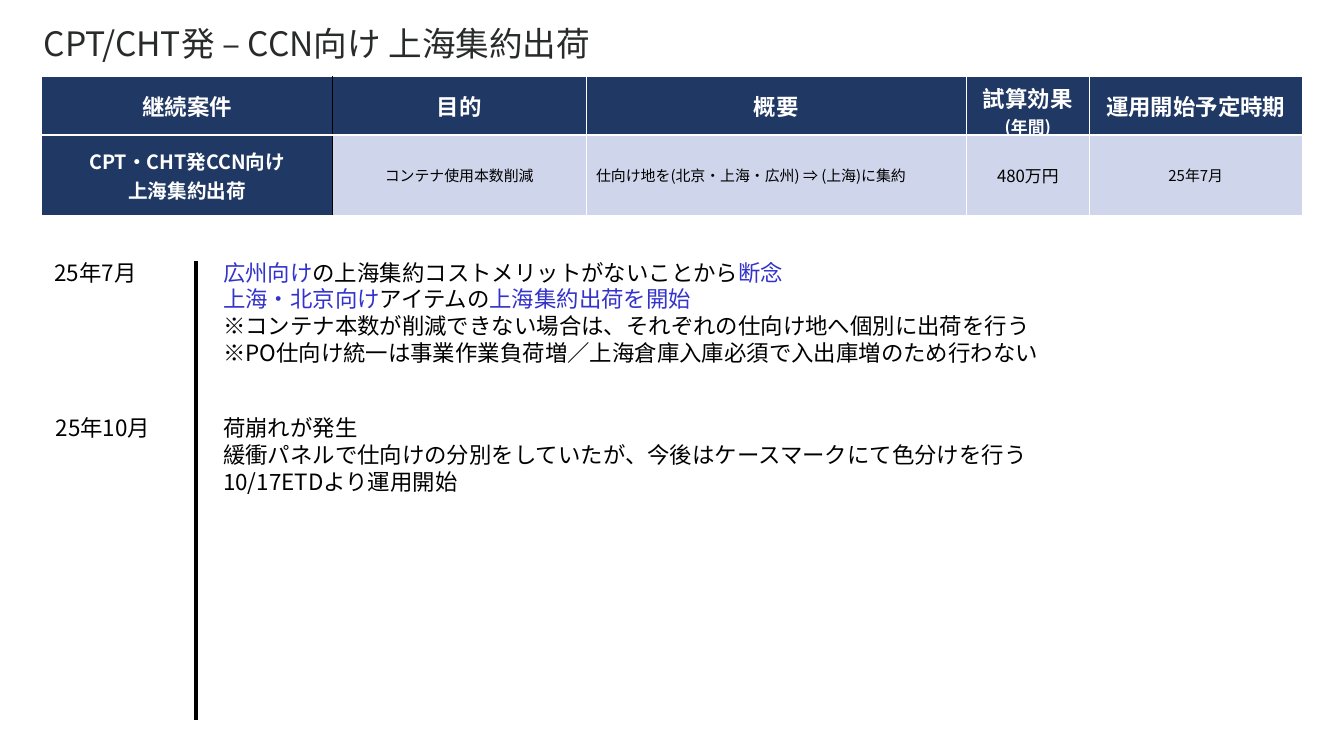
from dataclasses import dataclass

from lxml.etree import SubElement
from pptx import Presentation
from pptx.dml.color import RGBColor
from pptx.enum.shapes import MSO_CONNECTOR as Connector
from pptx.enum.text import MSO_ANCHOR as Anchor
from pptx.enum.text import MSO_AUTO_SIZE as AutoSize
from pptx.enum.text import PP_ALIGN as Align
from pptx.oxml import parse_xml
from pptx.oxml.ns import nsdecls, qn
from pptx.util import Inches, Pt


@dataclass(frozen=True)
class Theme:
    font: str = "Noto Sans CJK JP"
    title_color: str = "292B2B"
    text: str = "000000"
    accent: str = "3333CC"
    white: str = "FFFFFF"
    navy: str = "203864"
    pale: str = "CFD5EA"
    title: int = 36
    title_line: int = 54
    body: int = 24
    case: int = 21
    medium: int = 18
    small: int = 16


THEME = Theme()


@dataclass(frozen=True)
class Span:
    text: str
    color: str = THEME.text
    size: int = THEME.body
    bold: bool = False


@dataclass(frozen=True)
class TextBox:
    left: float
    top: float
    width: float
    height: float
    lines: list[list[Span]]


@dataclass(frozen=True)
class CellText:
    lines: list[Span]
    align: Align = Align.CENTER


def accent(text: str) -> Span:
    return Span(text, THEME.accent)


def heading(text: str, size: int = THEME.body) -> Span:
    return Span(text, THEME.white, size, True)


TITLE = TextBox(0.65, 0.19, 18.23, 0.7, [
    [Span("CPT/CHT発 – CCN向け 上海集約出荷", THEME.title_color, THEME.title)],
])

TIMELINE = [
    TextBox(0.73, 6.12, 1.77, 0.5, [[Span("25年10月")]]),
    TextBox(0.71, 3.81, 2.25, 0.5, [[Span("25年7月")]]),
    TextBox(3.22, 3.8, 14.11, 1.72, [
        [accent("広州向け"), Span("の上海集約コストメリットがないことから"), accent("断念")],
        [accent("上海・北京向け"), Span("アイテムの"), accent("上海集約出荷を開始")],
        [Span("※コンテナ本数が削減できない場合は、それぞれの仕向け地へ個別に出荷を行う")],
        [Span("※PO仕向け統一は事業作業負荷増／上海倉庫入庫必須で入出庫増のため行わない")],
    ]),
    TextBox(3.22, 6.12, 14.11, 1.31, [
        [Span("荷崩れが発生")],
        [Span("緩衝パネルで仕向けの分別をしていたが、今後はケースマークにて色分けを行う")],
        [Span("10/17ETDより運用開始")],
    ]),
]

COLUMN_WIDTHS = [4.33, 3.77, 5.66, 1.83, 3.17]
ROW_HEIGHTS = [0.87, 1.2]
ROWS = [
    [
        CellText([heading("継続案件")]),
        CellText([heading("目的")]),
        CellText([heading("概要")]),
        CellText([heading("試算効果"), heading("(年間)", THEME.medium)]),
        CellText([heading("運用開始予定時期")]),
    ],
    [
        CellText([heading("CPT・CHT発CCN向け", THEME.case),
                  heading("上海集約出荷", THEME.case)]),
        CellText([Span("コンテナ使用本数削減", size=THEME.small)]),
        CellText([Span("仕向け地を(北京・上海・広州) ⇒ (上海)に集約", size=THEME.small)],
                 Align.LEFT),
        CellText([Span("480万円", size=THEME.medium)]),
        CellText([Span("25年7月", size=THEME.small)]),
    ],
]


def fill_paragraph(para, spans: list[Span]) -> None:
    for span in spans:
        run = para.add_run()
        run.text = span.text
        run.font.size = Pt(span.size)
        run.font.bold = span.bold
        run.font.color.rgb = RGBColor.from_string(span.color)
        run.font.name = THEME.font
        SubElement(run.font._element, qn("a:ea"), typeface=THEME.font)


def fill_frame(frame, lines: list[list[Span]]) -> None:
    for index, spans in enumerate(lines):
        para = frame.add_paragraph() if index else frame.paragraphs[0]
        fill_paragraph(para, spans)


def draw_text(page, item: TextBox):
    box = page.shapes.add_textbox(Inches(item.left), Inches(item.top),
                                  Inches(item.width), Inches(item.height))
    frame = box.text_frame
    frame.word_wrap = True
    frame.auto_size = AutoSize.SHAPE_TO_FIT_TEXT
    fill_frame(frame, item.lines)
    return frame


def draw_title(page) -> None:
    frame = draw_text(page, TITLE)
    frame.margin_left = frame.margin_right = 0
    frame.margin_top = frame.margin_bottom = 0
    frame.paragraphs[0].line_spacing = Pt(THEME.title_line)


def draw_divider(page) -> None:
    x = Inches(2.92)
    line = page.shapes.add_connector(Connector.STRAIGHT, x, Inches(3.88), x, Inches(10.71))
    line.line.color.rgb = RGBColor.from_string(THEME.text)
    line.line.width = Pt(4.5)
    SubElement(line._element.spPr, qn("a:effectLst"))


def set_borders(cell, row: int, column: int) -> None:
    borders = [
        ("lnL", THEME.text if column == 1 else THEME.white, 1),
        ("lnR", THEME.text if column == 0 else THEME.white, 1),
        ("lnT", THEME.white, 3 if row == 1 and column > 0 else 1),
        ("lnB", THEME.white, 3 if row == 0 else 1),
    ]
    properties = cell._tc.get_or_add_tcPr()
    for index, (tag, color, width) in enumerate(borders):
        properties.insert(index, parse_xml(
            f'<a:{tag} {nsdecls("a")} w="{Pt(width)}"><a:solidFill>'
            f'<a:srgbClr val="{color}"/></a:solidFill></a:{tag}>'))


def draw_table(page) -> None:
    table = page.shapes.add_table(
        len(ROWS), len(COLUMN_WIDTHS), Inches(0.62), Inches(1.14),
        Inches(sum(COLUMN_WIDTHS)), Inches(sum(ROW_HEIGHTS))).table
    for column, width in zip(table.columns, COLUMN_WIDTHS):
        column.width = Inches(width)
    for row, height in zip(table.rows, ROW_HEIGHTS):
        row.height = Inches(height)
    for row_index, row in enumerate(ROWS):
        for column_index, content in enumerate(row):
            cell = table.cell(row_index, column_index)
            is_heading = row_index == 0 or column_index == 0
            cell.fill.solid()
            cell.fill.fore_color.rgb = RGBColor.from_string(
                THEME.navy if is_heading else THEME.pale)
            cell.vertical_anchor = Anchor.MIDDLE
            cell.margin_left = cell.margin_right = Inches(0.15)
            cell.margin_top = cell.margin_bottom = Inches(0.07)
            fill_frame(cell.text_frame, [[span] for span in content.lines])
            for para in cell.text_frame.paragraphs:
                para.alignment = content.align
            set_borders(cell, row_index, column_index)


def main() -> None:
    deck = Presentation()
    deck.slide_width = Inches(20)
    deck.slide_height = Inches(11.25)
    page = deck.slides.add_slide(deck.slide_layouts[6])
    draw_title(page)
    draw_divider(page)
    for item in TIMELINE:
        draw_text(page, item)
    draw_table(page)
    deck.save("out.pptx")


if __name__ == "__main__":
    main()
